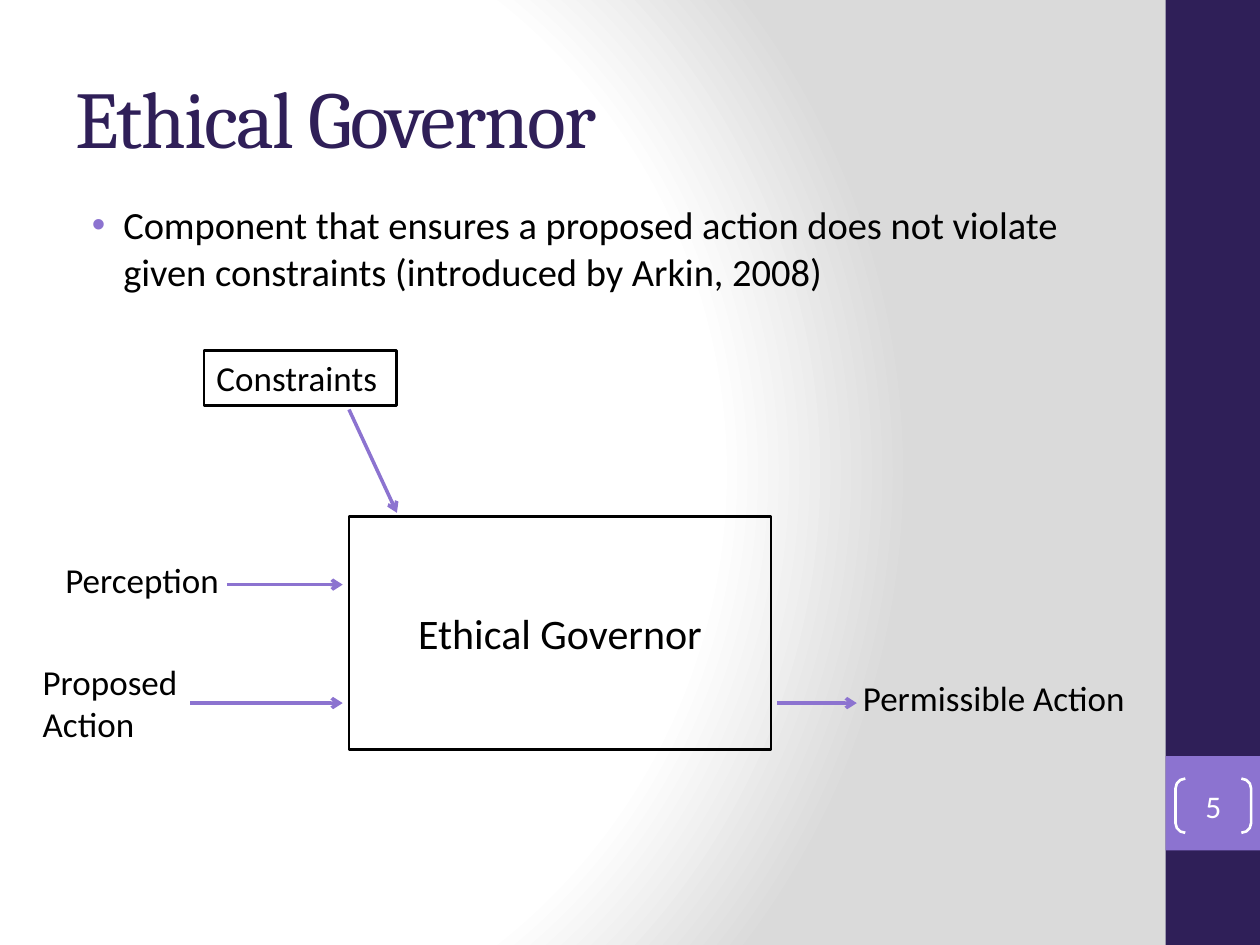
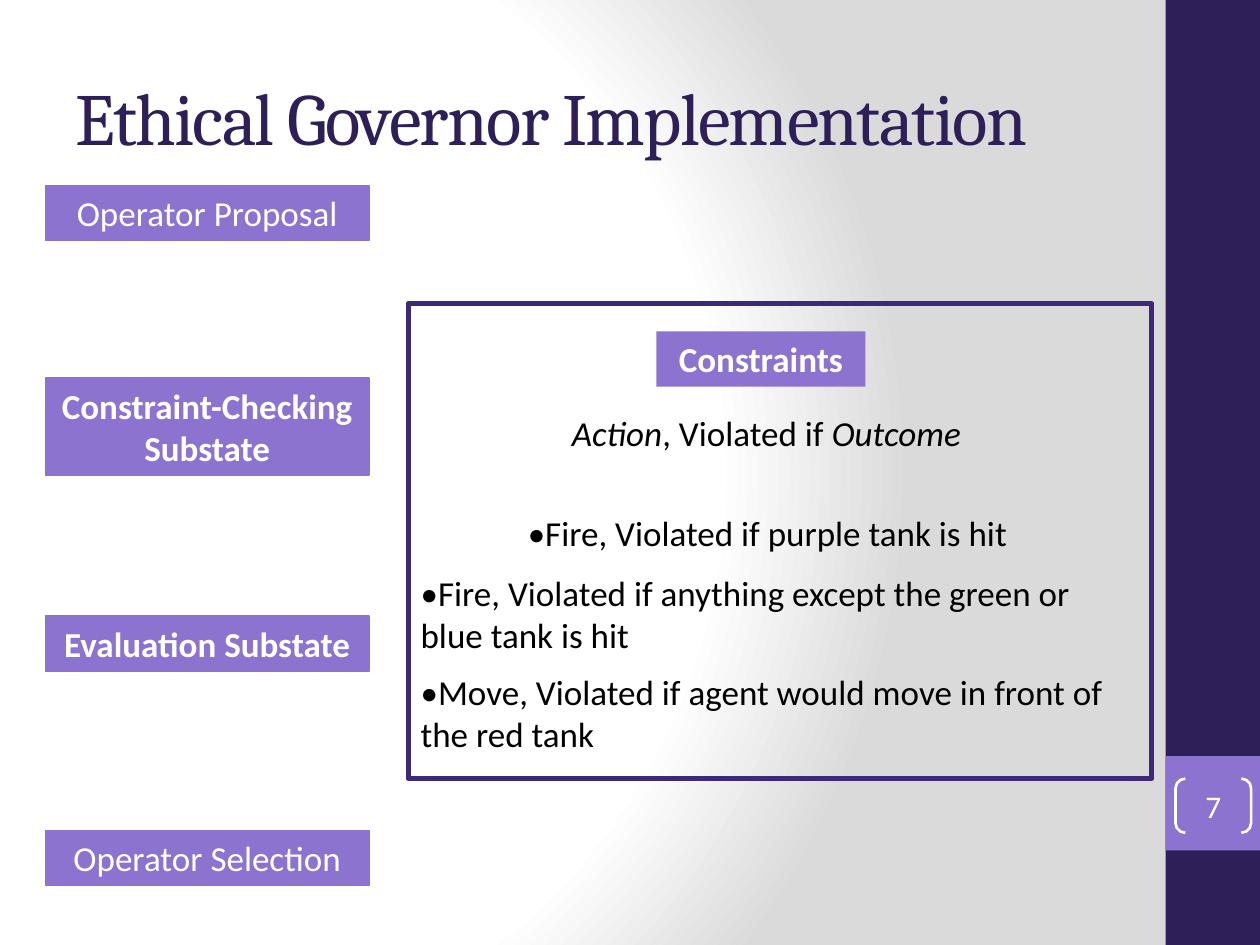
from pptx import Presentation
from pptx.dml.color import RGBColor
from pptx.enum.shapes import MSO_CONNECTOR, MSO_SHAPE
from pptx.enum.text import MSO_ANCHOR, MSO_AUTO_SIZE, PP_ALIGN
from pptx.oxml import parse_xml
from pptx.oxml.ns import nsdecls, qn
from pptx.util import Inches, Pt

DARK_PURPLE = RGBColor(0x2F, 0x1F, 0x58)
FRAME_PURPLE = RGBColor(0x3E, 0x29, 0x79)
LILAC = RGBColor(0x8C, 0x73, 0xD0)
BLACK = RGBColor(0, 0, 0)
WHITE = RGBColor(0xFF, 0xFF, 0xFF)
TITLE_FONT, BODY_FONT = "Cambria", "Calibri"

BACKGROUND = f"""<p:bg {nsdecls('p', 'a')}><p:bgPr><a:gradFill rotWithShape="1"><a:gsLst>
<a:gs pos="0"><a:srgbClr val="FFFFFF"/></a:gs>
<a:gs pos="75000"><a:srgbClr val="FFFFFF"/></a:gs>
<a:gs pos="100000"><a:srgbClr val="DADADA"/></a:gs></a:gsLst>
<a:path path="circle"><a:fillToRect l="20000" t="50000" r="100000" b="50000"/></a:path>
</a:gradFill><a:effectLst/></p:bgPr></p:bg>"""


def add_box(slide, at, text="", size=20, color=BLACK, bold=False, fill=None, line=None,
            width=1.5, align=PP_ALIGN.LEFT, anchor=MSO_ANCHOR.TOP, preset=MSO_SHAPE.RECTANGLE):
    """Add a text box, or a preset shape when it has a fill or a line."""
    place = [Inches(value) for value in at]
    if fill or line:
        shape = slide.shapes.add_shape(preset, *place)
        shape.shadow.inherit = False
    else:
        shape = slide.shapes.add_textbox(*place)
    if fill:
        shape.fill.solid()
        shape.fill.fore_color.rgb = fill
    else:
        shape.fill.background()
    if line:
        shape.line.color.rgb = line
        shape.line.width = Pt(width)
    else:
        shape.line.fill.background()
    frame = shape.text_frame
    frame.word_wrap = True
    frame.vertical_anchor = anchor
    frame.text = text
    paragraph = frame.paragraphs[0]
    paragraph.alignment = align
    for run in paragraph.runs:
        run.font.name, run.font.size, run.font.bold = BODY_FONT, Pt(size), bold
        run.font.color.rgb = color
    return shape


def start_slide(title_text, title_size, number):
    """Add a slide with the shared background, side band, title and number."""
    slide = presentation.slides.add_slide(presentation.slide_layouts[5])
    slide.element.cSld.insert(0, parse_xml(BACKGROUND))
    add_box(slide, (9.25, 0, 0.75, 7.5), fill=DARK_PURPLE)
    add_box(slide, (9.25, 6, 0.75, 0.75), fill=LILAC)

    title = slide.shapes.title
    title.left, title.top = Inches(0.5), Inches(0.3)
    title.width, title.height = Inches(8.33), Inches(1.25)
    frame = title.text_frame
    frame.text = title_text
    frame.auto_size = MSO_AUTO_SIZE.NONE
    frame.vertical_anchor = MSO_ANCHOR.MIDDLE
    frame.paragraphs[0].alignment = PP_ALIGN.LEFT
    run = frame.paragraphs[0].runs[0]
    run.font.name, run.font.size = TITLE_FONT, Pt(title_size)
    run.font.color.rgb = DARK_PURPLE
    run.font._element.set("spc", "-100")

    brackets = add_box(slide, (9.33, 6.18, 0.6, 0.43), number, 18, WHITE, line=WHITE,
                       align=PP_ALIGN.CENTER, anchor=MSO_ANCHOR.MIDDLE,
                       preset=MSO_SHAPE.DOUBLE_BRACKET)
    brackets.adjustments[0] = 0.18
    frame = brackets.text_frame
    frame.margin_left = frame.margin_right = frame.margin_top = frame.margin_bottom = 0
    return slide


presentation = Presentation()
presentation.slide_width, presentation.slide_height = Inches(10), Inches(7.5)

# Slide 1: definition bullet
slide = start_slide("Ethical Governor", 46, "5")
definition = add_box(slide, (0.5, 1.55, 8.61, 1.02),
                     "Component that ensures a proposed action does not violate "
                     "given constraints (introduced by Arkin, 2008)", 22)
paragraph = definition.text_frame.paragraphs[0]
paragraph.space_before = Pt(4.4)
properties = paragraph._p.get_or_add_pPr()
properties.set("marL", str(Inches(0.38)))
properties.set("indent", str(Inches(-0.25)))
for bullet_part in (f'<a:buClr {nsdecls("a")}><a:srgbClr val="{LILAC}"/></a:buClr>',
                    f'<a:buFont {nsdecls("a")} typeface="Arial"/>',
                    f'<a:buChar {nsdecls("a")} char="•"/>'):
    properties.append(parse_xml(bullet_part))

# Slide 1: governor, its inputs and its output
for text, at in (("Perception", (0.42, 4.38, 1.44, 0.44)),
                 ("Proposed Action", (0.24, 5.19, 1.38, 0.77)),
                 ("Permissible Action", (6.75, 5.32, 2.36, 0.44))):
    add_box(slide, at, text)
add_box(slide, (2.77, 4.1, 3.35, 1.85), "Ethical Governor", 24, line=BLACK,
        align=PP_ALIGN.CENTER, anchor=MSO_ANCHOR.MIDDLE)
add_box(slide, (1.62, 2.78, 1.53, 0.44), "Constraints", line=BLACK)

# Slide 1: arrows
for ends in ((2.77, 3.25, 3.15, 4.07), (1.8, 4.64, 2.72, 4.64),
             (1.51, 5.58, 2.72, 5.58), (6.17, 5.58, 6.8, 5.58)):
    arrow = slide.shapes.add_connector(MSO_CONNECTOR.STRAIGHT, *[Inches(end) for end in ends])
    arrow.line.color.rgb = LILAC
    arrow.line.width = Pt(2)
    shape_properties = arrow._element.spPr
    shape_properties.find(qn("a:ln")).append(
        parse_xml(f'<a:tailEnd {nsdecls("a")} type="arrow"/>'))
    shape_properties.append(parse_xml(f'<a:effectLst {nsdecls("a")}/>'))

# Slide 2: stages on the left
slide = start_slide("Ethical Governor Implementation", 42, "7")
for text, top, height, bold in (("Operator Proposal", 1.47, 0.44, False),
                                ("Constraint-Checking Substate", 3, 0.77, True),
                                ("Evaluation Substate", 4.89, 0.44, True),
                                ("Operator Selection", 6.59, 0.44, False)):
    add_box(slide, (0.36, top, 2.57, height), text, color=WHITE, bold=bold,
            fill=LILAC, line=LILAC, width=0.75, align=PP_ALIGN.CENTER)

# Slide 2: framed constraints
add_box(slide, (3.24, 2.41, 5.9, 3.77), line=FRAME_PURPLE, width=3)
add_box(slide, (5.21, 2.63, 1.66, 0.44), "Constraints", color=WHITE, bold=True,
        fill=LILAC, align=PP_ALIGN.CENTER)
pattern = add_box(slide, (4.44, 3.22, 3.62, 0.44)).text_frame.paragraphs[0]
for text, italic in (("Action", True), (", Violated if ", False), ("Outcome", True)):
    run = pattern.add_run()
    run.text = text
    run.font.name, run.font.size, run.font.italic = BODY_FONT, Pt(20), italic
    run.font.color.rgb = BLACK
for text, at in (
        ("•Fire, Violated if purple tank is hit", (4.09, 4.01, 4.45, 0.44)),
        ("•Fire, Violated if anything except the green or blue tank is hit",
         (3.24, 4.49, 5.9, 0.77)),
        ("•Move, Violated if agent would move in front of the red tank",
         (3.24, 5.27, 5.9, 0.77))):
    add_box(slide, at, text)

presentation.save("out.pptx")
